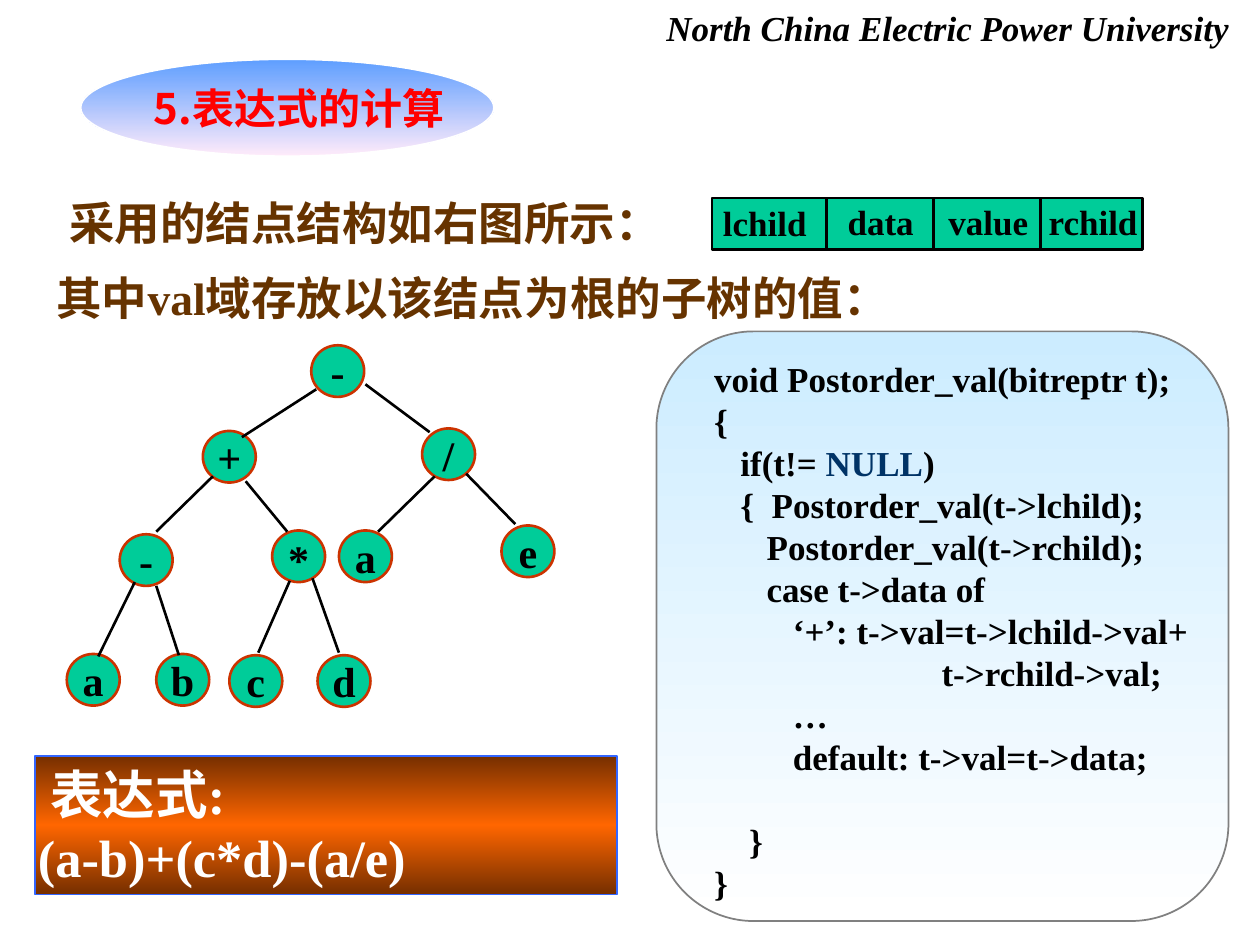
import pptx
import pptx.dml.color
import pptx.enum.shapes
import pptx.enum.text
import pptx.oxml
import pptx.oxml.ns
import pptx.util
from pptx.util import Inches

SHAPE = pptx.enum.shapes.MSO_SHAPE
ALIGN = pptx.enum.text.PP_ALIGN
ANCHOR = pptx.enum.text.MSO_ANCHOR
LATIN, CJK = "Times New Roman", "Noto Sans CJK SC"
BLACK, GREEN, BROWN = "000000", "00CC99", "663300"


def color(value):
    return pptx.dml.color.RGBColor.from_string(value)


def set_fill(fill, paint):
    """Fill with one colour, or with a downward gradient of (position, colour) stops."""
    if isinstance(paint, str):
        fill.solid()
        fill.fore_color.rgb = color(paint)
        return
    fill.gradient()
    fill.gradient_angle = 270
    stops = fill._fill._gradFill.find(pptx.oxml.ns.qn("a:gsLst"))
    for stop in list(stops):
        stops.remove(stop)
    for pos, value in paint:
        stops.append(pptx.oxml.parse_xml(
            f'<a:gs {pptx.oxml.ns.nsdecls("a")} pos="{pos * 1000}">'
            f'<a:srgbClr val="{value}"/></a:gs>'))


def write(tf, text, size=20, ink=BLACK, font=LATIN, italic=False, align=ALIGN.LEFT,
          anchor=ANCHOR.TOP, wrap=False, left=0.1, top=0.05, indent=0, gaps=None, accents=None):
    """Write lines of text; gaps maps line to space before, accents word to colour."""
    tf.word_wrap = wrap
    tf.auto_size = pptx.enum.text.MSO_AUTO_SIZE.NONE
    tf.vertical_anchor = anchor
    tf.margin_left, tf.margin_top = Inches(left), Inches(top)
    tf.margin_right, tf.margin_bottom = Inches(0.1), Inches(0.05)
    for i, line in enumerate(text.split("\n")):
        p = tf.add_paragraph() if i else tf.paragraphs[0]
        p.alignment = align
        if indent:
            p._p.get_or_add_pPr().set("indent", str(Inches(indent)))
        if gaps and i in gaps:
            p.space_before = pptx.util.Pt(gaps[i])
        parts = [(line, ink)]
        for word, tint in (accents or {}).items():
            before, found, after = line.partition(word)
            if found:
                parts = [(before, ink), (word, tint), (after, ink)]
        for part, tint in parts:
            r = p.add_run()
            r.text = part
            r.font.size = pptx.util.Pt(size)
            r.font.bold, r.font.italic = True, italic
            r.font.color.rgb = color(tint)
            r.font.name = font
            latin = r._r.rPr.find(pptx.oxml.ns.qn("a:latin"))
            latin.addnext(pptx.oxml.parse_xml(
                f'<a:ea {pptx.oxml.ns.nsdecls("a")} typeface="{CJK}"/>'))


class SlideBuilder:
    def __init__(self, slide):
        self.slide = slide
        self.line_width = 1.5

    def title(self, box, text, **fmt):
        sp = self.slide.shapes.title
        sp.left, sp.top, sp.width, sp.height = map(Inches, box)
        write(sp.text_frame, text, **fmt)
        return sp

    def text(self, box, text, **fmt):
        sp = self.slide.shapes.add_textbox(*map(Inches, box))
        write(sp.text_frame, text, **fmt)

    def shape(self, kind, box, fill, line, width=None, text=None, **fmt):
        sp = self.slide.shapes.add_shape(kind, *map(Inches, box))
        sp.shadow.inherit = False
        set_fill(sp.fill, fill)
        sp.line.color.rgb = color(line)
        sp.line.width = pptx.util.Pt(width or self.line_width)
        if text:
            write(sp.text_frame, text, **fmt)
        return sp

    def line(self, x1, y1, x2, y2):
        cx = self.slide.shapes.add_connector(
            pptx.enum.shapes.MSO_CONNECTOR.STRAIGHT, *map(Inches, (x1, y1, x2, y2)))
        cx.line.color.rgb = color(BLACK)
        cx.line.width = pptx.util.Pt(self.line_width)
        cx._element.spPr.append(pptx.oxml.parse_xml(
            f'<a:effectLst {pptx.oxml.ns.nsdecls("a")}/>'))


CODE = """void Postorder_val(bitreptr t);
{
   if(t!= NULL)
   {  Postorder_val(t->lchild);
      Postorder_val(t->rchild);
      case t->data of
         ‘+’: t->val=t->lchild->val+
                          t->rchild->val;
         …
         default: t->val=t->data;
    }
}"""

# Tree nodes: label, left, top
NODES = [("-", 2.47, 2.74), ("+", 1.61, 3.42), ("/", 3.35, 3.4), ("-", 0.95, 4.24),
         ("*", 2.16, 4.21), ("a", 2.69, 4.21), ("e", 3.98, 4.17), ("a", 0.53, 5.19),
         ("b", 1.24, 5.19), ("c", 1.82, 5.2), ("d", 2.52, 5.2)]

# Tree edges: start and end points
EDGES = [(2.51, 3.09, 1.92, 3.47), (2.9, 3.05, 3.41, 3.43), (1.69, 3.78, 1.24, 4.22),
         (1.95, 3.82, 2.28, 4.22), (3.45, 3.78, 3, 4.22), (3.7, 3.76, 4.09, 4.16),
         (1.07, 4.62, 0.78, 5.21), (1.24, 4.65, 1.42, 5.2), (2.3, 4.61, 2.05, 5.18),
         (2.48, 4.59, 2.69, 5.18)]

# Record fields: label, left, top, width
FIELDS = [("lchild", 5.64, 1.55, 0.86), ("data", 6.63, 1.54, 0.72),
          ("value", 7.43, 1.54, 0.83), ("rchild", 8.22, 1.54, 0.91)]


def main():
    prs = pptx.Presentation()
    prs.slide_width, prs.slide_height = Inches(10), Inches(7.5)
    s = SlideBuilder(prs.slides.add_slide(prs.slide_layouts[5]))

    # Header and title on its oval
    s.text((5.19, 0, 4.67, 0.44), "North China Electric Power University", italic=True)
    title = s.title((1.12, 0.47, 2.6, 0.77), "5.表达式的计算", size=24, ink="FF0000",
                    font=CJK, anchor=ANCHOR.MIDDLE)
    oval = s.shape(SHAPE.OVAL, (0.64, 0.47, 3.28, 0.77),
                   [(0, "5E9EFF"), (100, "FFEBFA")], "FFFFFF", 1)
    title._element.addprevious(oval._element)

    # Explanation
    s.text((0.45, 1.5, 5.2, 0.57), "采用的结点结构如右图所示：", size=26, ink=BROWN)
    s.text((0.35, 2.09, 7.28, 0.57), "其中val域存放以该结点为根的子树的值：",
           size=26, ink=BROWN)

    # Node record
    s.shape(SHAPE.RECTANGLE, (5.65, 1.57, 3.42, 0.41), GREEN, BLACK)
    for i in range(3):
        x = 6.56 + 0.85 * i
        s.line(x, 1.57, x, 1.98)
    for label, x, y, width in FIELDS:
        s.text((x, y, width, 0.44), label, align=ALIGN.CENTER)

    # Expression tree
    for label, x, y in NODES:
        s.shape(SHAPE.OVAL, (x, y, 0.42, 0.41), GREEN, "CC3300", text=label, size=24,
                align=ALIGN.CENTER, anchor=ANCHOR.MIDDLE, top=0.09 if label == "*" else 0.05)
    for edge in EDGES:
        s.line(*edge)

    # Expression
    s.shape(SHAPE.RECTANGLE, (0.28, 6, 4.62, 1.1),
            [(0, "762F00"), (50, "FF6600"), (100, "762F00")], "3366FF", 1,
            text="表达式: (a-b)+(c*d)-(a/e)", size=30, ink="FFFFFF", wrap=True,
            left=0.02, indent=0.1)

    # Code panel
    panel = s.shape(SHAPE.ROUNDED_RECTANGLE, (5.21, 2.63, 4.54, 4.68),
                    [(0, "CCECFF"), (100, "FFFFFF")], "808080", 1)
    panel.adjustments[0] = 0.17
    s.text((5.57, 2.79, 3.96, 4.44), CODE, gaps={10: 24}, accents={"NULL": "003366"})

    prs.save("out.pptx")


if __name__ == "__main__":
    main()
